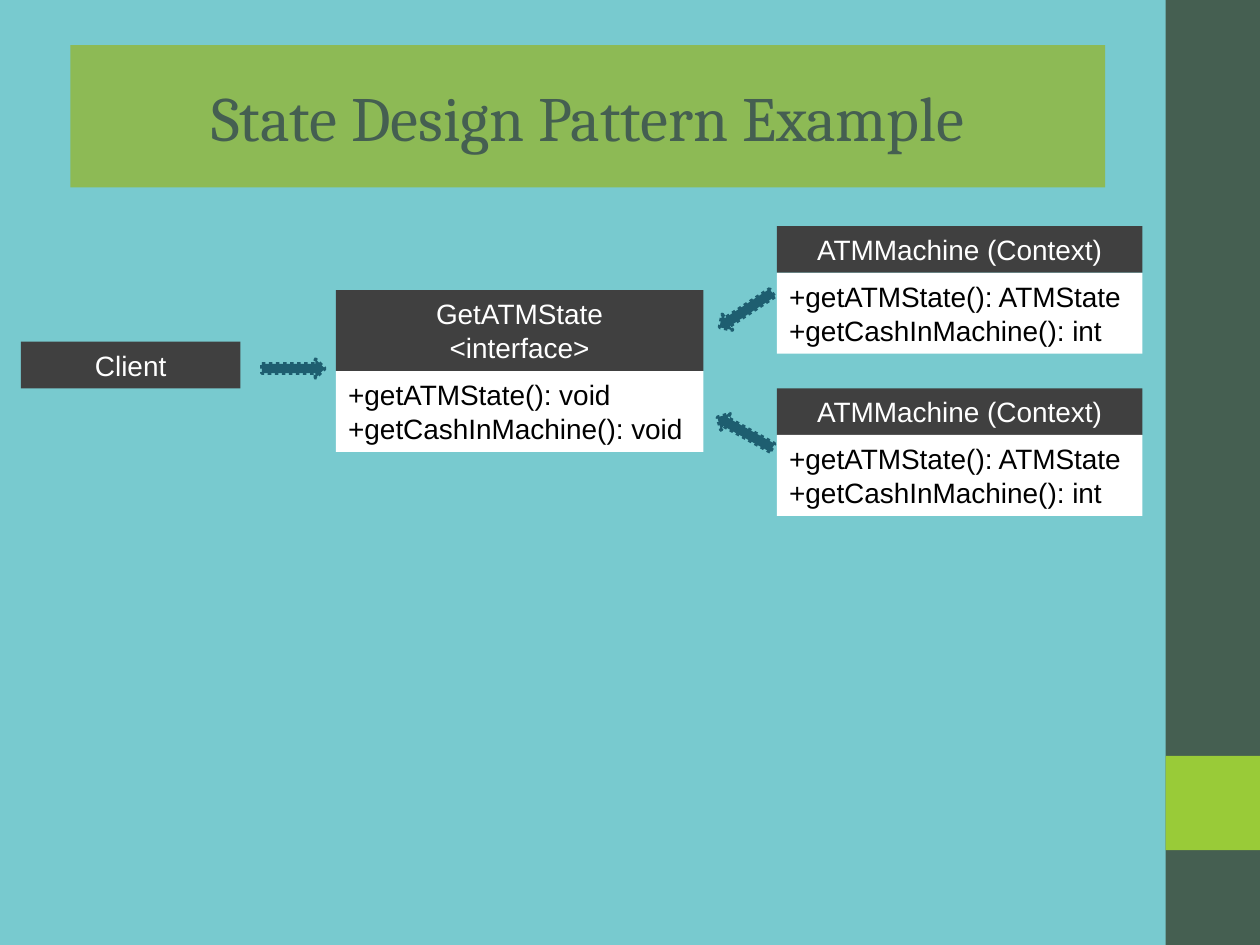
from pptx import Presentation
from pptx import util as u
from pptx.dml.color import RGBColor
from pptx.enum import dml, shapes, text

COLOURS = {
    "background": "78CACF",
    "sidebar": "455F51",
    "accent": "99CB38",
    "title": "8DBA55",
    "header": "404040",
    "arrow": "1E5E70",
    "white": "FFFFFF",
    "black": "000000",
}


class DiagramSlide:
    """Holds the style and the slide on which the class diagram is drawn."""

    def __init__(self, presentation):
        self.font = "Arial"
        self.size = 16
        self.slide = presentation.slides.add_slide(presentation.slide_layouts[6])
        self.paint(self.slide.background.fill, "background")

    def paint(self, fill, colour):
        fill.solid()
        fill.fore_color.rgb = RGBColor.from_string(COLOURS[colour])

    def shape(self, kind, left, top, width, height, colour):
        shape = self.slide.shapes.add_shape(
            kind, u.Cm(left), u.Cm(top), u.Cm(width), u.Cm(height))
        shape.shadow.inherit = False
        self.paint(shape.fill, colour)
        shape.line.fill.background()
        return shape

    def box(self, left, top, width, height, colour):
        return self.shape(shapes.MSO_SHAPE.RECTANGLE, left, top, width, height, colour)

    def label(self, shape, lines, colour="white", font=None, size=None, centred=True):
        frame = shape.text_frame
        frame.word_wrap = True
        frame.vertical_anchor = text.MSO_ANCHOR.MIDDLE
        frame.text = "\n".join(lines)
        for paragraph in frame.paragraphs:
            paragraph.alignment = text.PP_ALIGN.CENTER if centred else text.PP_ALIGN.LEFT
            paragraph.font.name = font or self.font
            paragraph.font.size = u.Pt(size or self.size)
            paragraph.font.color.rgb = RGBColor.from_string(COLOURS[colour])

    def class_box(self, left, top, width, name, methods=()):
        for lines, fill, colour, centred in (
            (name, "header", "white", True),
            (methods, "white", "black", False),
        ):
            if lines:
                height = 0.25 + 0.69 * len(lines)
                shape = self.box(left, top, width, height, fill)
                self.label(shape, lines, colour=colour, centred=centred)
                top += height

    def arrow(self, left, top, rotation=0):
        shape = self.shape(shapes.MSO_SHAPE.RIGHT_ARROW, left, top, 1.27, 0.38, "arrow")
        shape.rotation = rotation
        self.paint(shape.line.fill, "arrow")
        shape.line.width = u.Pt(2)
        shape.line.dash_style = dml.MSO_LINE.ROUND_DOT


def main():
    presentation = Presentation()
    presentation.slide_width = u.Cm(25.4)
    presentation.slide_height = u.Cm(19.05)
    diagram = DiagramSlide(presentation)

    diagram.box(23.5, 0, 1.9, 19.05, "sidebar")
    diagram.box(23.5, 15.24, 1.9, 1.9, "accent")
    title = diagram.box(1.42, 0.91, 20.86, 2.87, "title")
    diagram.label(title, ["State Design Pattern Example"],
                  colour="sidebar", font="Cambria", size=36)

    diagram.class_box(0.42, 6.89, 4.43, ["Client"])
    diagram.class_box(6.77, 5.85, 7.41, ["GetATMState", "<interface>"],
                      ["+getATMState(): void", "+getCashInMachine(): void"])
    for top in (4.56, 7.83):
        diagram.class_box(15.66, top, 7.37, ["ATMMachine (Context)"],
                          ["+getATMState(): ATMState", "+getCashInMachine(): int"])

    diagram.arrow(5.28, 7.24)
    diagram.arrow(14.4, 6.06, rotation=146.8)
    diagram.arrow(14.38, 8.53, rotation=209)

    presentation.save("out.pptx")


if __name__ == "__main__":
    main()
